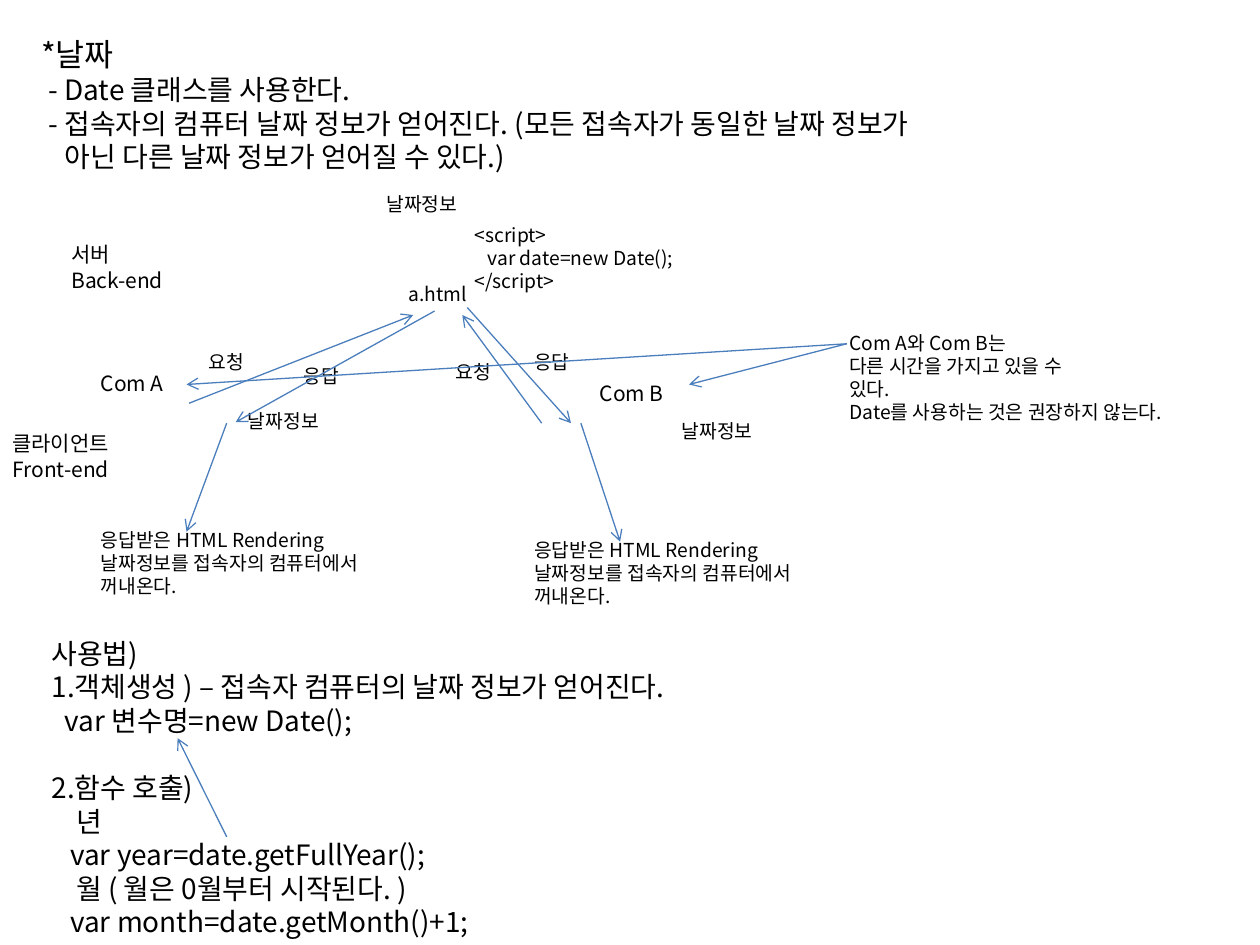
from dataclasses import dataclass

from lxml import etree
from pptx import Presentation, util as u
from pptx.dml.color import RGBColor
from pptx.enum import shapes, text
from pptx.oxml.ns import qn

FONT = "Noto Sans CJK KR"
INK = "000000"
ARROW = "4B7EBC"


@dataclass
class Line:
    words: str
    indent: float = 0
    size: float = 16
    gap: float = 0


def colour(value):
    return RGBColor.from_string(value)


def write(slide, left, top, width, lines):
    height = 0.25 + sum(line.size for line in lines) * 0.0423
    frame = slide.shapes.add_textbox(
        u.Cm(left), u.Cm(top), u.Cm(width), u.Cm(height)).text_frame
    frame.word_wrap = True
    frame.auto_size = text.MSO_AUTO_SIZE.NONE
    for number, line in enumerate(lines):
        paragraph = frame.add_paragraph() if number else frame.paragraphs[0]
        paragraph.line_spacing = u.Pt(line.size * 1.2)
        if line.indent:
            paragraph._p.get_or_add_pPr().set("marL", str(u.Cm(line.indent)))
        if line.gap:
            paragraph.space_before = u.Pt(line.gap)
        run = paragraph.add_run()
        run.text = line.words
        run.font.name = FONT
        run.font.size = u.Pt(line.size)
        run.font.color.rgb = colour(INK)
        etree.SubElement(run._r.get_or_add_rPr(), qn("a:ea")).set("typeface", FONT)


def draw_arrow(slide, left, top, start, end):
    arrow = slide.shapes.add_connector(
        shapes.MSO_CONNECTOR.STRAIGHT,
        u.Cm(left + start[0]), u.Cm(top + start[1]),
        u.Cm(left + end[0]), u.Cm(top + end[1]))
    arrow.line.color.rgb = colour(ARROW)
    arrow.line.width = u.Pt(0.75)
    etree.SubElement(arrow.line._get_or_add_ln(), qn("a:tailEnd")).set("type", "arrow")
    etree.SubElement(arrow._element.spPr, qn("a:effectLst"))


def add_introduction(slide, left, top, width):
    write(slide, left, top, width, [
        Line("*날짜", size=18),
        Line("- Date 클래스를 사용한다.", 0.15),
        Line("- 접속자의 컴퓨터 날짜 정보가 얻어진다. (모든 접속자가 동일한 날짜 정보가", 0.15),
        Line("아닌 다른 날짜 정보가 얻어질 수 있다.)", 0.48),
    ])


def add_request_diagram(slide, left, top):
    date_info = ["날짜정보"]
    request, response = ["요청"], ["응답"]
    rendering = ["응답받은 HTML Rendering", "날짜정보를 접속자의 컴퓨터에서", "꺼내온다."]
    small_labels = [
        (7.54, 0, 2.08, date_info),
        (4.75, 4.38, 2.08, date_info),
        (13.49, 4.58, 2.08, date_info),
        (7.98, 1.81, 2.1, ["a.html"]),
        (9.32, 0.62, 4.67, ["<script>", "   var date=new Date();", "</script>"]),
        (3.96, 3.18, 1.3, request),
        (5.87, 3.46, 1.3, response),
        (8.94, 3.39, 1.3, request),
        (10.52, 3.18, 1.3, response),
        (1.78, 6.77, 6.4, rendering),
        (10.52, 6.97, 6.4, rendering),
        (16.87, 2.8, 7.47, ["Com A와 Com B는", "다른 시간을 가지고 있을 수", "있다.",
                            "Date를 사용하는 것은 권장하지 않는다."]),
    ]
    place_labels = [
        (1.19, 1, 2.8, ["서버", "Back-end"]),
        (0, 4.81, 2.64, ["클라이언트", "Front-end"]),
        (1.78, 3.59, 2, ["Com A"]),
        (11.84, 3.79, 2, ["Com B"]),
    ]
    for size, labels in ((11, small_labels), (12, place_labels)):
        for x, y, width, lines in labels:
            write(slide, left + x, top + y, width,
                  [Line(words, size=size) for words in lines])

    note = (17.07, 3.18)
    arrows = [
        ((3.81, 4.38), (8.33, 2.6)),
        ((8.76, 2.52), (4.75, 4.76)),
        ((4.57, 4.78), (3.76, 6.97)),
        ((10.92, 4.78), (9.32, 2.6)),
        ((9.42, 2.45), (11.51, 4.78)),
        ((11.71, 4.78), (12.5, 7.17)),
        (note, (13.89, 4)),
        (note, (3.76, 4)),
    ]
    for start, end in arrows:
        draw_arrow(slide, left, top, start, end)


def add_usage(slide, left, top, width):
    write(slide, left, top, width, [
        Line("사용법)"),
        Line("1.객체생성 ) – 접속자 컴퓨터의 날짜 정보가 얻어진다."),
        Line("var 변수명=new Date();", 0.27),
        Line("2.함수 호출)", gap=19.2),
        Line("년", 0.5),
        Line("var year=date.getFullYear();", 0.38),
        Line("월 ( 월은 0월부터 시작된다. )", 0.5),
        Line("var month=date.getMonth()+1;", 0.38),
    ])
    draw_arrow(slide, left, top, (3.78, 4.17), (2.79, 2.18))


def main():
    deck = Presentation()
    deck.slide_width, deck.slide_height = u.Cm(25.4), u.Cm(19.05)
    slide = deck.slides.add_slide(deck.slide_layouts[6])
    add_introduction(slide, 0.58, 0.58, 20.35)
    add_request_diagram(slide, 0, 3.75)
    add_usage(slide, 0.79, 12.7, 14.35)
    deck.save("out.pptx")


if __name__ == "__main__":
    main()
